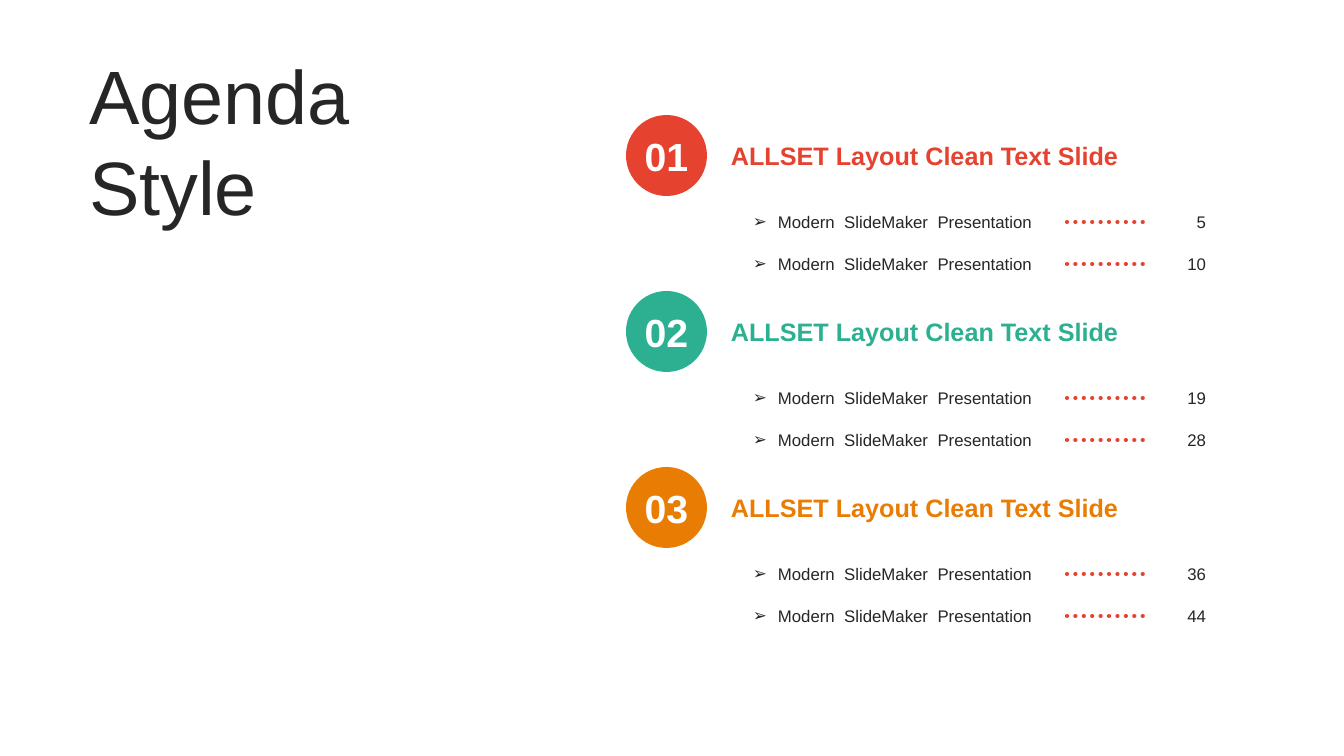
"""Build the agenda slide with three numbered sections and their page numbers."""
from dataclasses import dataclass

from lxml.etree import SubElement
from pptx import Presentation
from pptx.dml.color import RGBColor
from pptx.enum.dml import MSO_LINE
from pptx.enum.shapes import MSO_CONNECTOR, MSO_SHAPE
from pptx.enum.text import MSO_ANCHOR, PP_ALIGN
from pptx.oxml.ns import qn
from pptx.util import Emu, Pt


@dataclass(frozen=True)
class Theme:
    font: str = "Arial"
    ink: str = "262626"
    white: str = "FFFFFF"
    red: str = "E64230"
    green: str = "2CB091"
    orange: str = "E97D03"
    title_size: int = 54
    number_size: int = 28
    heading_size: int = 18
    body_size: int = 12


theme = Theme()
SECTION_TOP, SECTION_STEP = 115, 176
ROW_OFFSET, ROW_STEP, ROW_HEIGHT = 92, 42, 30
CIRCLE_SIZE = 81
BULLET_INDENT = 25
WORD_SPACING = "333"
sections = [
    ("01", theme.red, ["5", "10"]),
    ("02", theme.green, ["19", "28"]),
    ("03", theme.orange, ["36", "44"]),
]


def px(*lengths):
    return [Emu(round(length * 914400 / 100.8)) for length in lengths]


def write(shape, texts, size, color, bold=False, align=PP_ALIGN.LEFT, inset=10):
    frame = shape.text_frame
    frame.word_wrap = True
    frame.margin_left, frame.margin_right = px(inset, inset)
    frame.margin_top, frame.margin_bottom = px(5, 5)
    paragraph = frame.paragraphs[0]
    paragraph.alignment = align
    for text in texts:
        run = paragraph.add_run()
        run.text = text
        run.font.name = theme.font
        run.font.size = Pt(size)
        run.font.bold = bold
        run.font.color.rgb = RGBColor.from_string(color)
    return paragraph


presentation = Presentation()
presentation.slide_width, presentation.slide_height = px(1344, 756)
slide = presentation.slides.add_slide(presentation.slide_layouts[6])

title = slide.shapes.add_textbox(*px(79, 43, 406, 194))
title.text_frame.vertical_anchor = MSO_ANCHOR.MIDDLE
write(title, ["Agenda Style"], theme.title_size, theme.ink)

for section_index, (number, color, pages) in enumerate(sections):
    top = SECTION_TOP + section_index * SECTION_STEP

    circle = slide.shapes.add_shape(MSO_SHAPE.OVAL, *px(626, top, CIRCLE_SIZE, CIRCLE_SIZE))
    circle.shadow.inherit = False
    circle.fill.solid()
    circle.fill.fore_color.rgb = RGBColor.from_string(color)
    circle.line.fill.background()
    circle.text_frame.vertical_anchor = MSO_ANCHOR.MIDDLE
    write(circle, [number], theme.number_size, theme.white, True, PP_ALIGN.CENTER, inset=0)

    heading = slide.shapes.add_textbox(*px(719, top + 20, 497, 40))
    write(heading, ["ALLSET Layout Clean Text Slide"], theme.heading_size, color, True, inset=12)

    for row_index, page in enumerate(pages):
        row_top = top + ROW_OFFSET + row_index * ROW_STEP
        row = slide.shapes.add_group_shape()

        topic = row.shapes.add_textbox(*px(743, row_top, 309, ROW_HEIGHT))
        words = ["Modern", " ", "SlideMaker", " ", "Presentation"]
        paragraph = write(topic, words, theme.body_size, theme.ink)
        for space in paragraph.runs[1::2]:
            space.font._element.set("spc", WORD_SPACING)
        properties = paragraph._p.get_or_add_pPr()
        indent = px(BULLET_INDENT)[0]
        properties.set("marL", str(indent))
        properties.set("indent", str(-indent))
        SubElement(properties, qn("a:buFont")).set("typeface", theme.font)
        SubElement(properties, qn("a:buChar")).set("char", "➢")

        middle = row_top + ROW_HEIGHT // 2
        leader = row.shapes.add_connector(MSO_CONNECTOR.STRAIGHT, *px(1067, middle, 1146, middle))
        leader.line.color.rgb = RGBColor.from_string(theme.red)
        leader.line.width = Pt(3)
        leader.line.dash_style = MSO_LINE.ROUND_DOT
        leader._element.spPr.find(qn("a:ln")).set("cap", "rnd")
        SubElement(leader._element.spPr, qn("a:effectLst"))

        page_number = row.shapes.add_textbox(*px(1162, row_top, 54, ROW_HEIGHT))
        write(page_number, [page], theme.body_size, theme.ink, align=PP_ALIGN.RIGHT)

presentation.save("out.pptx")
